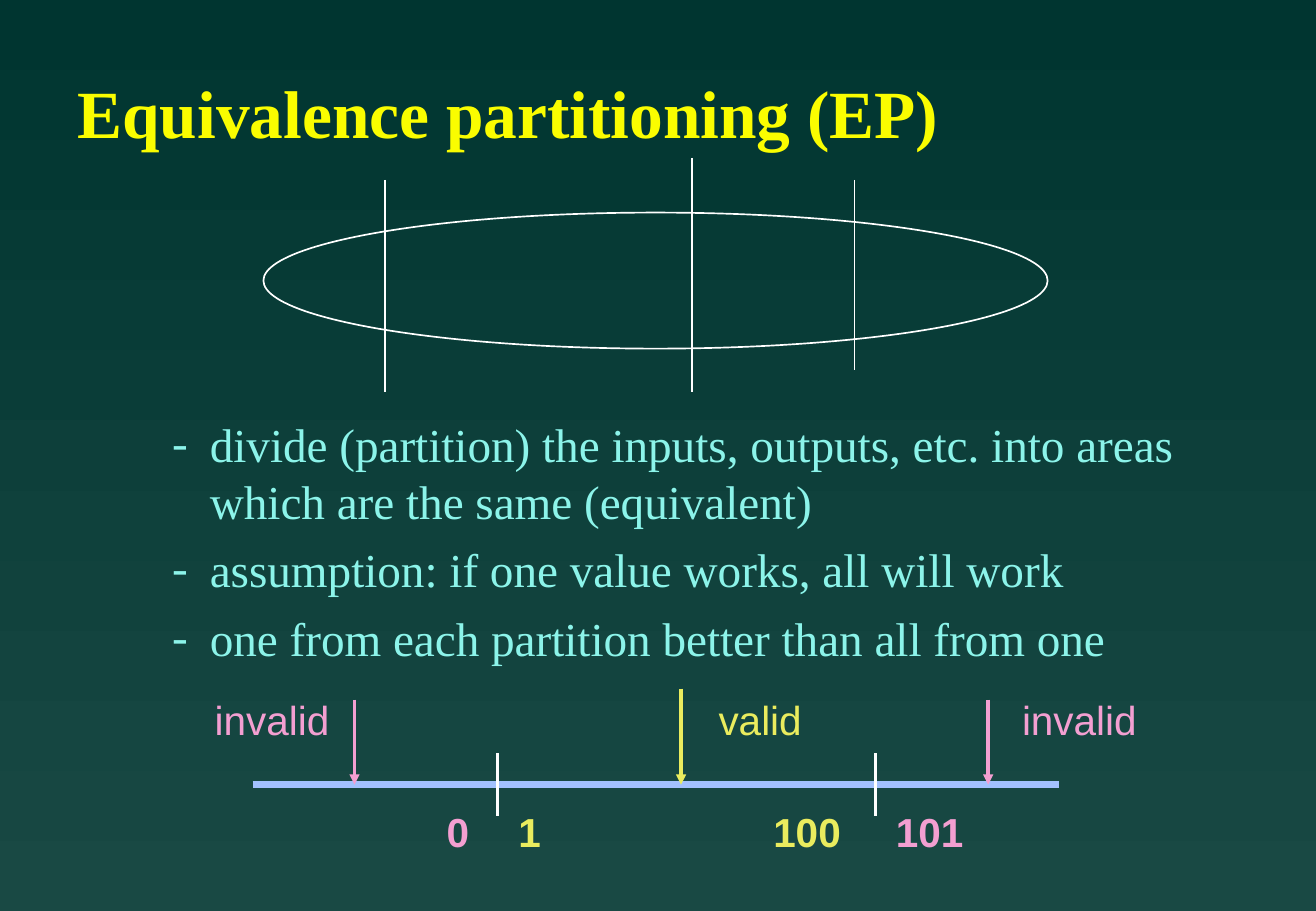
from dataclasses import dataclass

from lxml.etree import SubElement
from pptx import Presentation
from pptx.dml.color import RGBColor as RGB
from pptx.enum.shapes import MSO_CONNECTOR as CONN, MSO_SHAPE as SHAPE
from pptx.enum.text import MSO_ANCHOR as ANCHOR
from pptx.oxml.ns import qn
from pptx.util import Inches, Pt


@dataclass(frozen=True)
class Theme:
    top: str = "003530"
    bottom: str = "194944"
    title: str = "FAFD00"
    body: str = "8CF4EA"
    outline: str = "FFFFFF"
    axis: str = "A2C1FE"
    valid: str = "EAEC5E"
    invalid: str = "F39FD1"
    serif: str = "Times New Roman"
    sans: str = "Arial"
    title_size: int = 40
    body_size: int = 28
    label_size: int = 24


class Deck:
    def __init__(self, theme, width, height):
        self.theme = theme
        self.prs = Presentation()
        self.prs.slide_width, self.prs.slide_height = Inches(width), Inches(height)
        self.slide = None

    def add_slide(self):
        self.slide = self.prs.slides.add_slide(self.prs.slide_layouts[6])
        fill = self.slide.background.fill
        fill.gradient()
        fill.gradient_angle = 270
        for stop, color in zip(fill.gradient_stops, (self.theme.top, self.theme.bottom)):
            stop.color.rgb = RGB.from_string(color)

    def box(self, x, y, w, h, margins=(0.1, 0.05)):
        sp = self.slide.shapes.add_textbox(Inches(x), Inches(y), Inches(w), Inches(h))
        tf = sp.text_frame
        tf.word_wrap = True
        tf.margin_left = tf.margin_right = Inches(margins[0])
        tf.margin_top = tf.margin_bottom = Inches(margins[1])
        return tf

    def style(self, p, font, size, color, bold=False):
        for r in p.runs:
            r.font.name, r.font.size, r.font.bold = font, Pt(size), bold
            r.font.color.rgb = RGB.from_string(color)

    def title(self, text, x, y, w, h):
        t = self.theme
        tf = self.box(x, y, w, h)
        tf.vertical_anchor = ANCHOR.MIDDLE
        tf.text = text
        self.style(tf.paragraphs[0], t.serif, t.title_size, t.title, True)

    def bullets(self, items, x, y, w, h):
        t = self.theme
        tf = self.box(x, y, w, h)
        for i, item in enumerate(items):
            p = tf.add_paragraph() if i else tf.paragraphs[0]
            p.text = item
            p.space_before = Pt(7 if i else 0)
            pPr = p._p.get_or_add_pPr()
            pPr.set("marL", str(Inches(0.82)))
            pPr.set("indent", str(Inches(-0.31)))
            SubElement(SubElement(pPr, qn("a:buClr")), qn("a:srgbClr"), val=t.body)
            SubElement(pPr, qn("a:buFont"), typeface=t.serif)
            SubElement(pPr, qn("a:buChar"), char="-")
            self.style(p, t.serif, t.body_size, t.body)

    def label(self, text, x, y, w, color):
        self.style_label(self.box(x, y, w, 0.5), text, color)

    def number(self, text, x, y, w, color):
        tf = self.box(x, y, w, 0.42, (0.07, 0.03))
        self.style_label(tf, text, color, True)
        tf.paragraphs[0].line_spacing = 0.9

    def style_label(self, tf, text, color, bold=False):
        tf.text = text
        self.style(tf.paragraphs[0], self.theme.sans, self.theme.label_size, color, bold)

    def ellipse(self, x, y, w, h, color):
        sp = self.slide.shapes.add_shape(
            SHAPE.OVAL, Inches(x), Inches(y), Inches(w), Inches(h))
        sp.shadow.inherit = False
        sp.fill.background()
        sp.line.color.rgb = RGB.from_string(color)
        sp.line.width = Pt(1)

    def line(self, x1, y1, x2, y2, color, width, arrow=False):
        cn = self.slide.shapes.add_connector(
            CONN.STRAIGHT, Inches(x1), Inches(y1), Inches(x2), Inches(y2))
        cn.line.color.rgb = RGB.from_string(color)
        cn.line.width = Pt(width)
        spPr = cn._element.spPr
        if arrow:
            SubElement(spPr.find(qn("a:ln")), qn("a:tailEnd"), type="triangle")
        SubElement(spPr, qn("a:effectLst"))


def main():
    t = Theme()
    deck = Deck(t, 10.84, 7.5)
    deck.add_slide()
    deck.title("Equivalence partitioning (EP)", 0.54, 0.58, 9.21, 0.67)

    # Input domain cut into partitions
    deck.ellipse(2.17, 1.75, 6.46, 1.12, t.outline)
    for x, top, bottom in ((3.17, 1.48, 3.23), (5.7, 1.3, 3.23), (7.04, 1.48, 3.05)):
        deck.line(x, top, x, bottom, t.outline, 1)

    # Explanation
    deck.bullets((
        "divide (partition) the inputs, outputs, etc. into areas "
        "which are the same (equivalent)",
        "assumption: if one value works, all will work",
        "one from each partition better than all from one",
    ), 0.81, 3.37, 9.21, 2.55)

    # Number line with its boundaries
    axis_y = 6.46
    deck.line(2.08, axis_y, 8.72, axis_y, t.axis, 4)
    for x in (4.1, 7.21):
        deck.line(x, axis_y - 0.26, x, axis_y + 0.26, t.outline, 2)
    for text, x, w, color in (
        ("0", 3.61, 0.4, t.invalid),
        ("1", 4.2, 0.4, t.valid),
        ("100", 6.3, 0.8, t.valid),
        ("101", 7.31, 0.8, t.invalid),
    ):
        deck.number(text, x, 6.66, w, color)

    # Arrows naming each partition
    for text, arrow_x, arrow_y, x, w, color in (
        ("invalid", 2.92, 5.76, 1.67, 1.22, t.invalid),
        ("valid", 5.61, 5.67, 5.82, 0.98, t.valid),
        ("invalid", 8.14, 5.76, 8.32, 1.22, t.invalid),
    ):
        deck.line(arrow_x, arrow_y, arrow_x, axis_y, color, 2, arrow=True)
        deck.label(text, x, 5.67, w, color)

    deck.prs.save("out.pptx")


if __name__ == "__main__":
    main()
